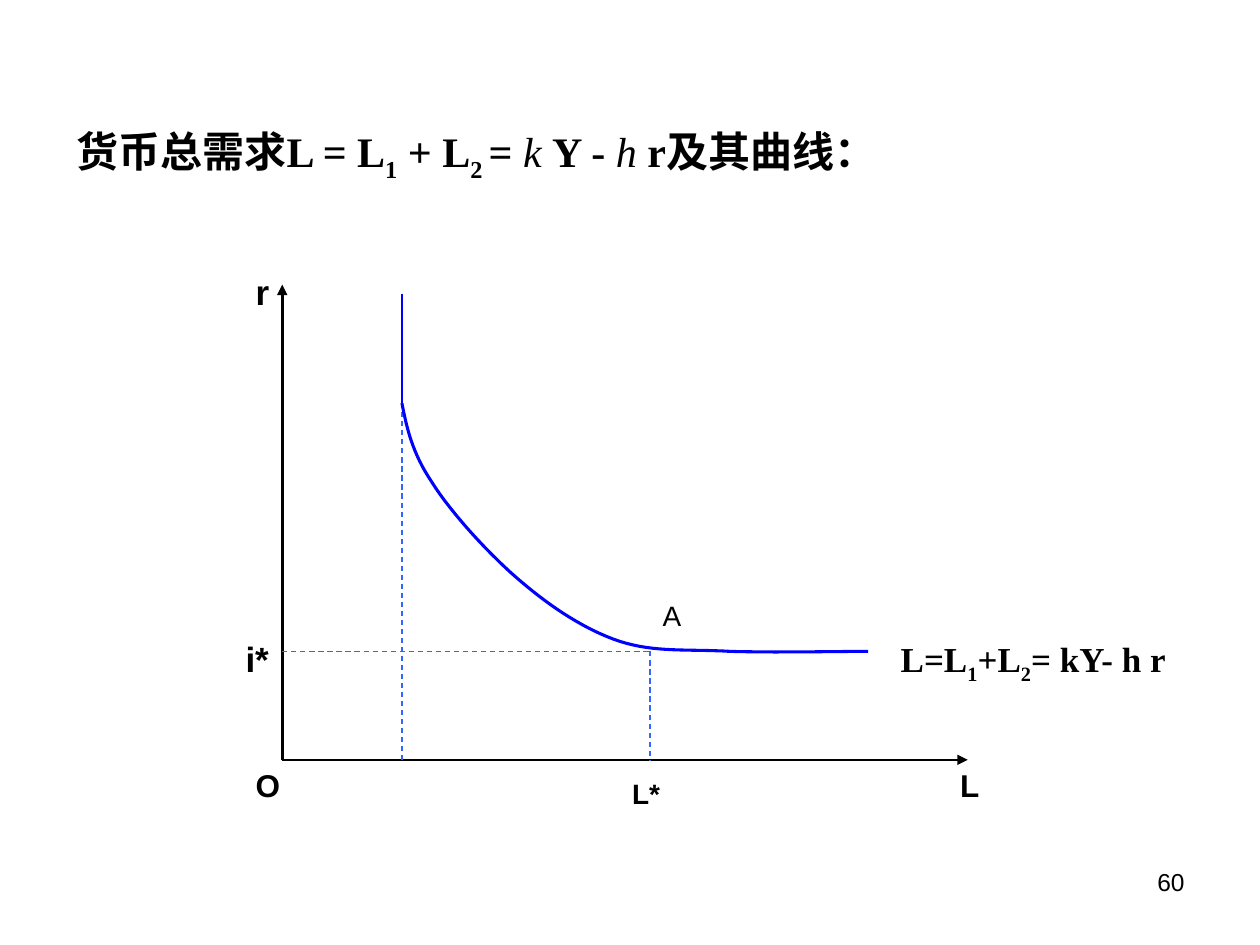
"""Build the slide on total money demand and its curve."""
import pptx
import pptx.dml.color
import pptx.enum.dml
import pptx.enum.shapes
import pptx.enum.text
import pptx.oxml
import pptx.oxml.ns
import pptx.util

Pt = pptx.util.Pt
BLACK = pptx.dml.color.RGBColor(0, 0, 0)
BLUE = pptx.dml.color.RGBColor(0, 0, 255)
GUIDE_BLUE = pptx.dml.color.RGBColor(0x33, 0x66, 0xFF)
SANS, SERIF = "Arial", "Times New Roman"
LEFT, RIGHT = pptx.enum.text.PP_ALIGN.LEFT, pptx.enum.text.PP_ALIGN.RIGHT
TOP, MIDDLE = pptx.enum.text.MSO_ANCHOR.TOP, pptx.enum.text.MSO_ANCHOR.MIDDLE

TITLE = [
    ("货币总需求L = L", "bold"), ("1", "sub"), (" + L", "bold"), ("2 ", "sub"),
    ("= ", "bold"), ("k ", "italic"), ("Y - ", "bold"), ("h ", "italic"),
    ("r及其曲线：", "bold"),
]
CURVE_LABEL = [
    ("L=L", "bold"), ("1", "sub"), ("+L", "bold"), ("2", "sub"),
    ("= kY- h r", "bold"),
]
AXIS_LABELS = [
    ("O", "bold", 18, (139, 434, 40, 29)),
    ("L", "bold", 18, (541.5, 434, 40, 29)),
    ("r", "bold", 20, (139, 151.2, 40, 32)),
    ("i*", "bold", 20, (133.2, 360.7, 40, 32)),
    ("L*", "bold", 16, (354.2, 440, 40, 27)),
    ("A", "plain", 16, (371.5, 338.4, 34, 27)),
]

AXIS_X, AXIS_Y = 161.3, 434.2
KINK_X, KINK_Y = 229.7, 230.4
POINT_X, POINT_Y = 371.5, 372.2
AXES = [
    ((AXIS_X, AXIS_Y), (AXIS_X, 162.7)),
    ((AXIS_X, AXIS_Y), (553, AXIS_Y)),
]
GUIDES = [
    ((AXIS_X, POINT_Y), (POINT_X, POINT_Y)),
    ((POINT_X, POINT_Y), (POINT_X, AXIS_Y)),
    ((KINK_X, KINK_Y), (KINK_X, AXIS_Y)),
]
CURVE = [
    ((232.6, 244.8), (235.4, 258.5), (247, 275.8)),
    ((257.8, 293), (280.1, 317.5), (298.1, 332.6)),
    ((316.1, 347.8), (334.8, 360), (354.2, 366.5)),
    ((374.4, 373), (393.1, 370.8), (416.9, 372.2)),
    ((440.6, 373), (483.8, 372.2), (496.1, 372.2)),
]
STEPS = 16


def add_text(slide, place, spans, size, font, align=LEFT, anchor=TOP):
    box = slide.shapes.add_textbox(*map(Pt, place))
    frame = box.text_frame
    frame.word_wrap = True
    frame.vertical_anchor = anchor
    para = frame.paragraphs[0]
    para.alignment = align
    for text, style in spans:
        span = para.add_run()
        span.text = text
        span.font.name = font
        span.font.size = Pt(size)
        span.font.color.rgb = BLACK
        span.font.bold = style in ("bold", "sub")
        span.font.italic = style == "italic"
        if style == "sub":
            span.font._element.set("baseline", "-25000")


def add_line(slide, start, end, color, width, dashed=False, arrow=False):
    line = slide.shapes.add_connector(
        pptx.enum.shapes.MSO_CONNECTOR.STRAIGHT, *map(Pt, start + end))
    line.line.color.rgb = color
    line.line.width = Pt(width)
    if dashed:
        line.line.dash_style = pptx.enum.dml.MSO_LINE.DASH
    properties = line._element.spPr
    if arrow:
        head = pptx.oxml.parse_xml(
            f'<a:tailEnd {pptx.oxml.ns.nsdecls("a")} type="triangle"/>')
        properties.find(pptx.oxml.ns.qn("a:ln")).append(head)
    properties.append(pptx.oxml.parse_xml(
        f'<a:effectLst {pptx.oxml.ns.nsdecls("a")}/>'))


def curve_points(start, segments):
    points = []
    for first, second, end in segments:
        for step in range(1, STEPS + 1):
            t = step / STEPS
            weights = ((1 - t) ** 3, 3 * t * (1 - t) ** 2,
                       3 * t ** 2 * (1 - t), t ** 3)
            corners = (start, first, second, end)
            points.append(tuple(
                Pt(sum(weight * corner[axis]
                       for weight, corner in zip(weights, corners)))
                for axis in (0, 1)))
        start = end
    return points


def add_curve(slide):
    builder = slide.shapes.build_freeform(Pt(KINK_X), Pt(KINK_Y))
    builder.add_line_segments(
        curve_points((KINK_X, KINK_Y), CURVE), close=False)
    curve = builder.convert_to_shape()
    curve.shadow.inherit = False
    curve.fill.background()
    curve.line.color.rgb = BLUE
    curve.line.width = Pt(1.75)


def main():
    deck = pptx.Presentation()
    deck.slide_width, deck.slide_height = Pt(720), Pt(540)
    slide = deck.slides.add_slide(deck.slide_layouts[6])
    add_text(slide, (516.2, 491.8, 167.8, 37.4), [("60", "plain")], 14, SANS,
             align=RIGHT)
    add_text(slide, (36.7, 25.9, 648, 124.6), TITLE, 24, SERIF, anchor=MIDDLE)
    for start, end in AXES:
        add_line(slide, start, end, BLACK, 1.5, arrow=True)
    for text, style, size, place in AXIS_LABELS:
        add_text(slide, place, [(text, style)], size, SANS)
    add_text(slide, (507.6, 360.7, 187.2, 34.6), CURVE_LABEL, 20, SERIF)
    for start, end in GUIDES:
        add_line(slide, start, end, GUIDE_BLUE, 0.75, dashed=True)
    add_curve(slide)
    add_line(slide, (KINK_X, 167.8), (KINK_X, KINK_Y), BLUE, 1.5)
    deck.save("out.pptx")


if __name__ == "__main__":
    main()
